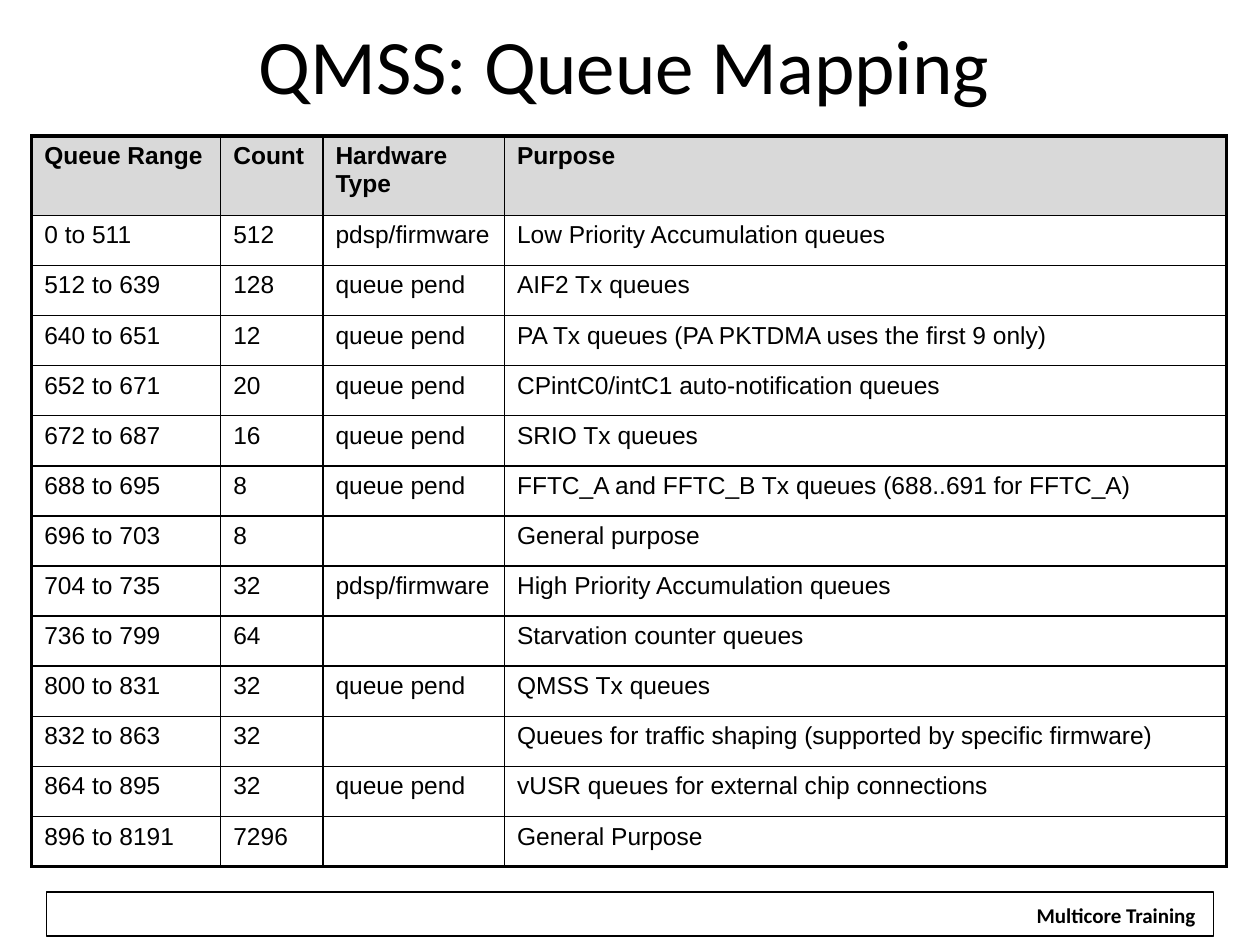
from dataclasses import dataclass
from typing import Any

from lxml import etree
from pptx import Presentation
from pptx.dml.color import RGBColor
from pptx.enum import shapes, text
from pptx.oxml import ns
from pptx.util import Cm, Pt


@dataclass(frozen=True)
class Theme:
    ink: RGBColor = RGBColor(0, 0, 0)
    paper: RGBColor = RGBColor(255, 255, 255)
    header: RGBColor = RGBColor(0xD9, 0xD9, 0xD9)
    heading_font: str = "Calibri"
    table_font: str = "Arial"
    title_size: Pt = Pt(44)
    table_size: Pt = Pt(14)
    footer_size: Pt = Pt(12)
    frame_line: Pt = Pt(0.75)
    inner_line: Pt = Pt(1)
    outer_line: Pt = Pt(2.25)


@dataclass(frozen=True)
class Area:
    left: float
    top: float
    width: float
    height: float

    def lengths(self) -> tuple:
        return Cm(self.left), Cm(self.top), Cm(self.width), Cm(self.height)


@dataclass(frozen=True)
class QueueRange:
    span: str
    count: str
    hardware: str
    purpose: str

    def values(self) -> tuple:
        return self.span, self.count, self.hardware, self.purpose


THEME = Theme()
TITLE_AREA = Area(0.84, 0.43, 23.5, 1.7)
TABLE_AREA = Area(0.64, 2.74, 24.08, 14.73)
FOOTER_FRAME = Area(0.94, 17.98, 23.52, 0.89)
FOOTER_LABEL = Area(20.62, 18.06, 3.76, 0.76)
COLUMN_WIDTHS = (3.81, 2.06, 3.66, 14.55)
HEADER_HEIGHT = 1.6
ROW_HEIGHT = 1.01

PEND = "queue pend"
FIRMWARE = "pdsp/firmware"
HEADER = QueueRange("Queue Range", "Count", "Hardware Type", "Purpose")
QUEUES = [
    QueueRange("0 to 511", "512", FIRMWARE, "Low Priority Accumulation queues"),
    QueueRange("512 to 639", "128", PEND, "AIF2 Tx queues"),
    QueueRange("640 to 651", "12", PEND, "PA Tx queues (PA PKTDMA uses the first 9 only)"),
    QueueRange("652 to 671", "20", PEND, "CPintC0/intC1 auto-notification queues"),
    QueueRange("672 to 687", "16", PEND, "SRIO Tx queues"),
    QueueRange("688 to 695", "8", PEND, "FFTC_A and FFTC_B Tx queues (688..691 for FFTC_A)"),
    QueueRange("696 to 703", "8", "", "General purpose"),
    QueueRange("704 to 735", "32", FIRMWARE, "High Priority Accumulation queues"),
    QueueRange("736 to 799", "64", "", "Starvation counter queues"),
    QueueRange("800 to 831", "32", PEND, "QMSS Tx queues"),
    QueueRange("832 to 863", "32", "", "Queues for traffic shaping (supported by specific firmware)"),
    QueueRange("864 to 895", "32", PEND, "vUSR queues for external chip connections"),
    QueueRange("896 to 8191", "7296", "", "General Purpose"),
]


def apply(target: Any, formats: dict) -> None:
    for name, value in formats.items():
        setattr(target, name, value)


def write(para: Any, words: str, font: str, size: Pt, bold: bool = False) -> None:
    span = para.add_run()
    span.text = words
    apply(span.font, {"name": font, "size": size, "bold": bold})
    span.font.color.rgb = THEME.ink


def set_border(cell: Any, side: str, width: Pt) -> None:
    properties = cell._tc.get_or_add_tcPr()
    line = etree.SubElement(properties, ns.qn(f"a:ln{side}"), w=str(int(width)))
    fill = etree.SubElement(line, ns.qn("a:solidFill"))
    etree.SubElement(fill, ns.qn("a:srgbClr"), val=str(THEME.ink))


def fill_cell(cell: Any, words: str, is_header: bool, outer_sides: dict) -> None:
    para = cell.text_frame.paragraphs[0]
    if words:
        write(para, words, THEME.table_font, THEME.table_size, is_header)
    else:
        size = str(int(THEME.table_size.pt * 100))
        etree.SubElement(para._p, ns.qn("a:endParaRPr"), sz=size)
    for side, is_outer in outer_sides.items():
        set_border(cell, side, THEME.outer_line if is_outer else THEME.inner_line)
    if is_header:
        cell.fill.solid()
        cell.fill.fore_color.rgb = THEME.header
    else:
        cell.fill.background()


def add_title(page: Any, words: str) -> None:
    title = page.shapes.title
    left, top, width, height = TITLE_AREA.lengths()
    apply(title, {"left": left, "top": top, "width": width, "height": height})
    apply(title.text_frame, {
        "vertical_anchor": text.MSO_ANCHOR.MIDDLE,
        "auto_size": text.MSO_AUTO_SIZE.NONE,
        "word_wrap": True,
    })
    para = title.text_frame.paragraphs[0]
    para.alignment = text.PP_ALIGN.CENTER
    write(para, words, THEME.heading_font, THEME.title_size)


def add_queue_table(page: Any) -> None:
    rows = [HEADER, *QUEUES]
    last_row, last_column = len(rows) - 1, len(COLUMN_WIDTHS) - 1
    frame = page.shapes.add_table(len(rows), len(COLUMN_WIDTHS), *TABLE_AREA.lengths())
    table = frame.table
    apply(table, {"first_row": False, "horz_banding": False})
    for column, width in zip(table.columns, COLUMN_WIDTHS):
        column.width = Cm(width)
    for r, row in enumerate(rows):
        table.rows[r].height = Cm(ROW_HEIGHT if r else HEADER_HEIGHT)
        for c, words in enumerate(row.values()):
            outer_sides = {"L": c == 0, "R": c == last_column, "T": r == 0, "B": r == last_row}
            fill_cell(table.cell(r, c), words, r == 0, outer_sides)


def add_footer(page: Any, words: str) -> None:
    frame = page.shapes.add_shape(shapes.MSO_SHAPE.RECTANGLE, *FOOTER_FRAME.lengths())
    frame.shadow.inherit = False
    frame.fill.background()
    frame.line.color.rgb = THEME.ink
    frame.line.width = THEME.frame_line
    label = page.shapes.add_textbox(*FOOTER_LABEL.lengths())
    label.fill.solid()
    label.fill.fore_color.rgb = THEME.paper
    apply(label.text_frame, {"word_wrap": False, "auto_size": text.MSO_AUTO_SIZE.SHAPE_TO_FIT_TEXT})
    para = label.text_frame.paragraphs[0]
    para.alignment = text.PP_ALIGN.CENTER
    write(para, words, THEME.heading_font, THEME.footer_size, True)


def main() -> None:
    deck = Presentation()
    apply(deck, {"slide_width": Cm(25.4), "slide_height": Cm(19.05)})
    page = deck.slides.add_slide(deck.slide_layouts.get_by_name("Title Only"))
    add_footer(page, "Multicore Training")
    add_title(page, "QMSS: Queue Mapping")
    add_queue_table(page)
    deck.save("out.pptx")


if __name__ == "__main__":
    main()
